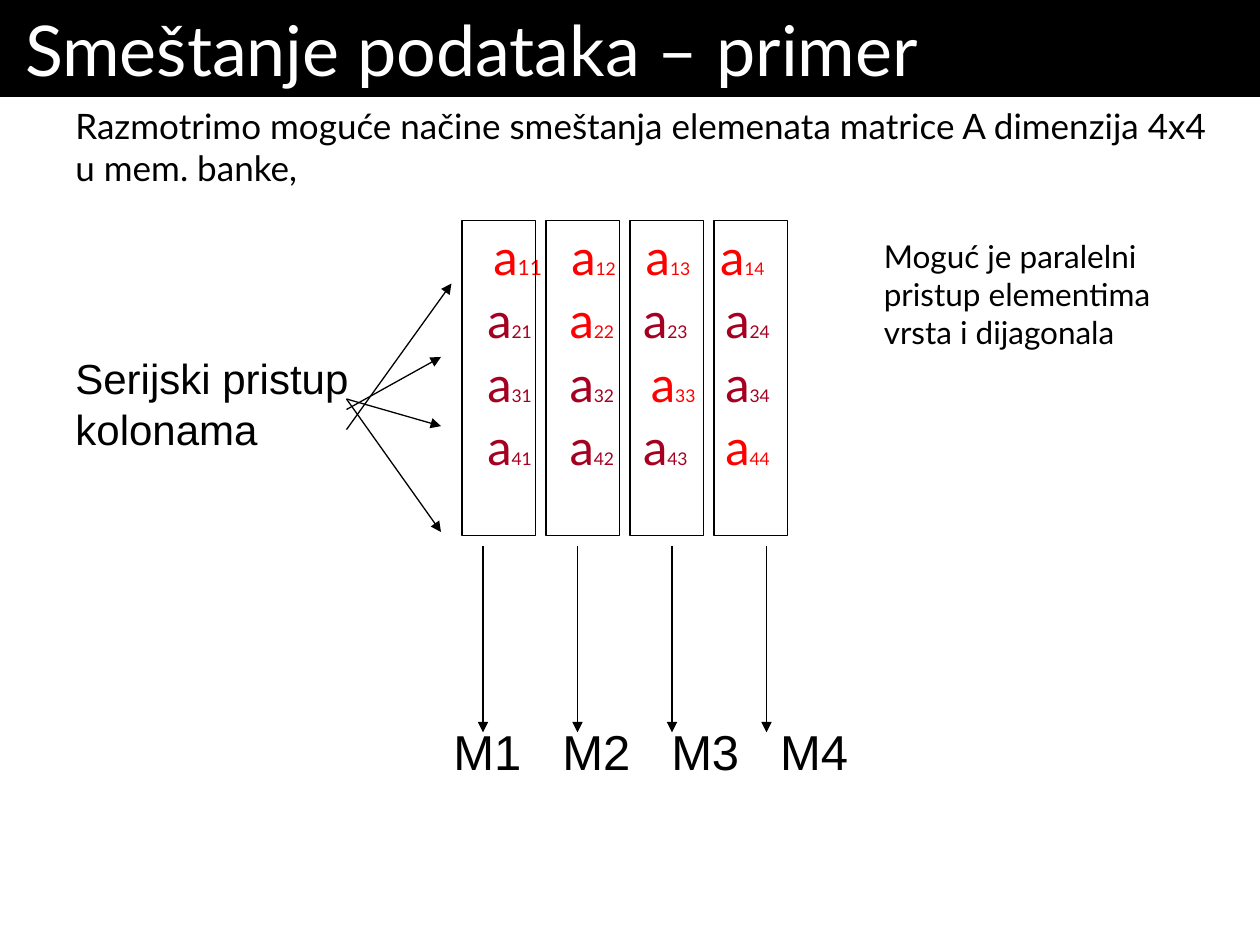
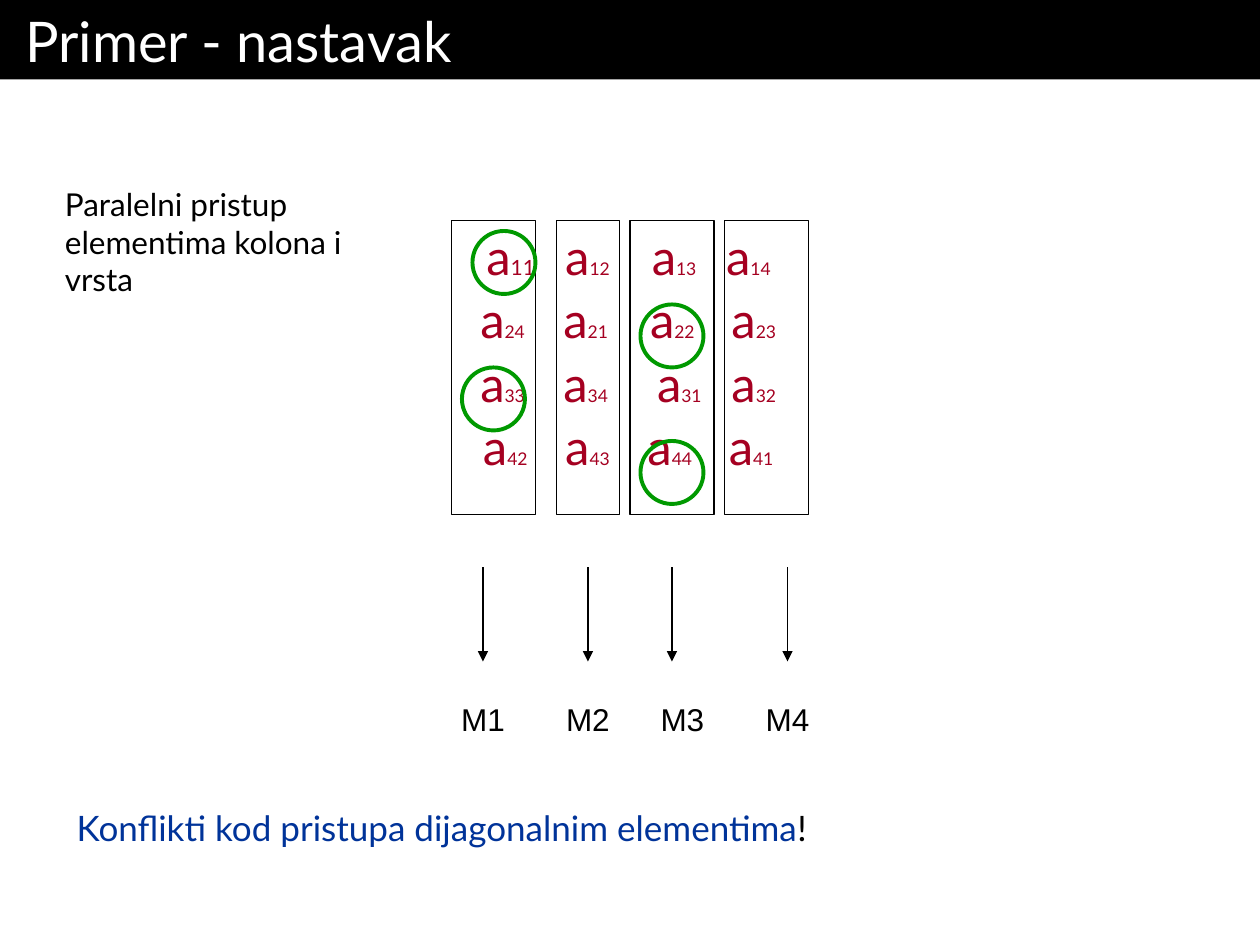
import pptx
import pptx.dml.color
import pptx.enum.shapes
import pptx.enum.text
import pptx.oxml.ns
import pptx.util
from lxml import etree

Pt = pptx.util.Pt
Shape = pptx.enum.shapes.MSO_SHAPE
Anchor = pptx.enum.text.MSO_ANCHOR
Align = pptx.enum.text.PP_ALIGN
qn = pptx.oxml.ns.qn

COLORS = {
    "black": "000000",
    "white": "FFFFFF",
    "red": "FF0000",
    "wine": "A50021",
    "green": "009900",
    "blue": "003399",
}
BANKS = ["M1", "M2", "M3", "M4"]
BANK_TOP = 126
MATRIX_LEFT = 252


def color(name):
    return pptx.dml.color.RGBColor.from_string(COLORS[name])


# Text
def write(para, text, size=18, font="Lato", ink="black"):
    run = para.add_run()
    run.text = text
    run.font.size = Pt(size)
    run.font.name = font
    run.font.color.rgb = color(ink)


def set_tabs(para, stops):
    tabs = etree.SubElement(para._p.get_or_add_pPr(), qn("a:tabLst"))
    for stop in stops:
        etree.SubElement(tabs, qn("a:tab"), pos=str(Pt(stop)), algn="l")


def set_frame(shape, anchor=Anchor.TOP, side=7.2, wrap=True):
    frame = shape.text_frame
    frame.auto_size = pptx.enum.text.MSO_AUTO_SIZE.NONE
    frame.word_wrap = wrap
    frame.vertical_anchor = anchor
    frame.margin_left = frame.margin_right = Pt(side)
    frame.margin_top = frame.margin_bottom = Pt(3.6)
    return frame


def add_box(slide, area, **layout):
    return set_frame(slide.shapes.add_textbox(*map(Pt, area)), **layout)


def add_note(slide, area, text, anchor=Anchor.TOP, **style):
    frame = add_box(slide, area, anchor=anchor)
    write(frame.paragraphs[0], text, **style)
    return frame


def add_title(slide, text, height, size):
    title = slide.shapes.title
    title.left, title.top, title.width, title.height = map(Pt, (0, 0, 720, height))
    title.fill.solid()
    title.fill.fore_color.rgb = color("black")
    para = set_frame(title, side=14.4).paragraphs[0]
    para.alignment = Align.LEFT
    write(para, text, size, ink="white")


# Shapes
def add_shape(slide, kind, area, edge="black", width=0.75, fill=None):
    shape = slide.shapes.add_shape(kind, *map(Pt, area))
    shape.shadow.inherit = False
    if fill:
        shape.fill.solid()
        shape.fill.fore_color.rgb = color(fill)
    else:
        shape.fill.background()
    shape.line.color.rgb = color(edge)
    shape.line.width = Pt(width)
    return shape


def add_arrow(slide, start, end):
    kind = pptx.enum.shapes.MSO_CONNECTOR.STRAIGHT
    arrow = slide.shapes.add_connector(kind, *map(Pt, start + end))
    arrow.line.color.rgb = color("black")
    arrow.line.width = Pt(0.75)
    props = arrow.element.spPr
    etree.SubElement(props.find(qn("a:ln")), qn("a:tailEnd"), type="triangle")
    etree.SubElement(props, qn("a:effectLst"))


def add_bank(slide, left, width, height):
    add_shape(slide, Shape.RECTANGLE, (left, BANK_TOP, width, height))


# Matrix rows: element indices and the tab stop of each element
def add_matrix(slide, rows, hot=()):
    frame = add_box(slide, (MATRIX_LEFT, BANK_TOP, 216, 160), side=0)
    for number, (cells, stops) in enumerate(rows):
        para = frame.add_paragraph() if number else frame.paragraphs[0]
        set_tabs(para, stops)
        if number:
            para.space_before = Pt(2.5)
        for cell in cells.split():
            ink = "red" if cell in hot else "wine"
            write(para, "\ta", 28, ink=ink)
            write(para, cell, 12 if cell == "11" else 10, ink=ink)


def build_rows(slide):
    add_title(slide, "Smeštanje podataka – primer", 55.4, 40)
    add_note(slide, (36, 59.8, 666, 48),
             "Razmotrimo moguće načine smeštanja elemenata matrice A "
             "dimenzija 4x4 u mem. banke,", Anchor.MIDDLE, size=20)
    even = (26.5, 73.5, 115.5, 162.5)
    add_matrix(slide, [
        ("11 12 13 14", (30, 74.5, 117, 159.5)),
        ("21 22 23 24", even),
        ("31 32 33 34", (26.5, 73.5, 120, 162.5)),
        ("41 42 43 44", even),
    ], hot=("11", "12", "13", "14", "22", "33", "44"))

    # Memory banks with their outputs
    for index in range(len(BANKS)):
        add_bank(slide, 264 + 48 * index, 42, 180)
        x = 276 + 54 * index
        add_arrow(slide, (x, 312), (x, 418.5))
    para = add_box(slide, (252, 409, 240, 41), wrap=False).paragraphs[0]
    set_tabs(para, [62.25 * step for step in range(1, len(BANKS))])
    write(para, "\t".join(BANKS), 28, "Arial")

    # Serial access to columns
    frame = add_note(slide, (36, 198, 170, 65), "Serijski pristup",
                     size=24, font="Arial")
    frame.word_wrap = False
    write(frame.add_paragraph(), "kolonama", 24, "Arial")
    for y, end in [(245.5, (258, 162)), (234, (252, 204)),
                   (228, (252, 243.5)), (228, (252, 304))]:
        add_arrow(slide, (198, y), end)
    add_note(slide, (498, 132, 168, 72),
             "Moguć je paralelni pristup elementima vrsta i dijagonala")


def build_skew(slide):
    add_title(slide, "Primer - nastavak", 45.4, 32)
    add_matrix(slide, [
        ("11 12 13 14", (26, 71, 120.5, 163)),
        ("24 21 22 23", (22.5, 70, 119.5, 166)),
        ("33 34 31 32", (22.5, 70, 123.5, 166)),
        ("42 43 44 41", (24, 71, 118, 164.5)),
    ])

    # Memory banks: bank left, bank width, arrow x, label left
    places = [(258, 48, 276, 258), (318, 36, 336, 318),
              (360, 48, 384, 372), (414, 48, 450, 432)]
    for bank, (left, width, x, label) in zip(BANKS, places):
        add_bank(slide, left, width, 168)
        add_arrow(slide, (x, 324), (x, 378))
        tag = add_shape(slide, Shape.RECTANGLE, (label, 396, 36, 30),
                        edge="white", fill="white")
        para = set_frame(tag, Anchor.MIDDLE, wrap=False).paragraphs[0]
        para.alignment = Align.CENTER
        write(para, bank, font="Arial")

    # Diagonal elements
    for spot in [(270, 132), (366, 174), (264, 210), (366, 252)]:
        add_shape(slide, Shape.OVAL, spot + (36, 36), "green", 2.25)

    frame = add_note(slide, (36.7, 456.5, 467, 31.7),
                     "Konflikti kod pristupa dijagonalnim elementima",
                     Anchor.BOTTOM, size=20, ink="blue")
    write(frame.paragraphs[0], "!", 20)
    add_note(slide, (30, 102, 187, 72),
             "Paralelni pristup elementima kolona i vrsta", Anchor.BOTTOM)


def main():
    deck = pptx.Presentation()
    deck.slide_width, deck.slide_height = Pt(720), Pt(540)
    for build in (build_rows, build_skew):
        build(deck.slides.add_slide(deck.slide_layouts.get_by_name("Title Only")))
    deck.save("out.pptx")


if __name__ == "__main__":
    main()
